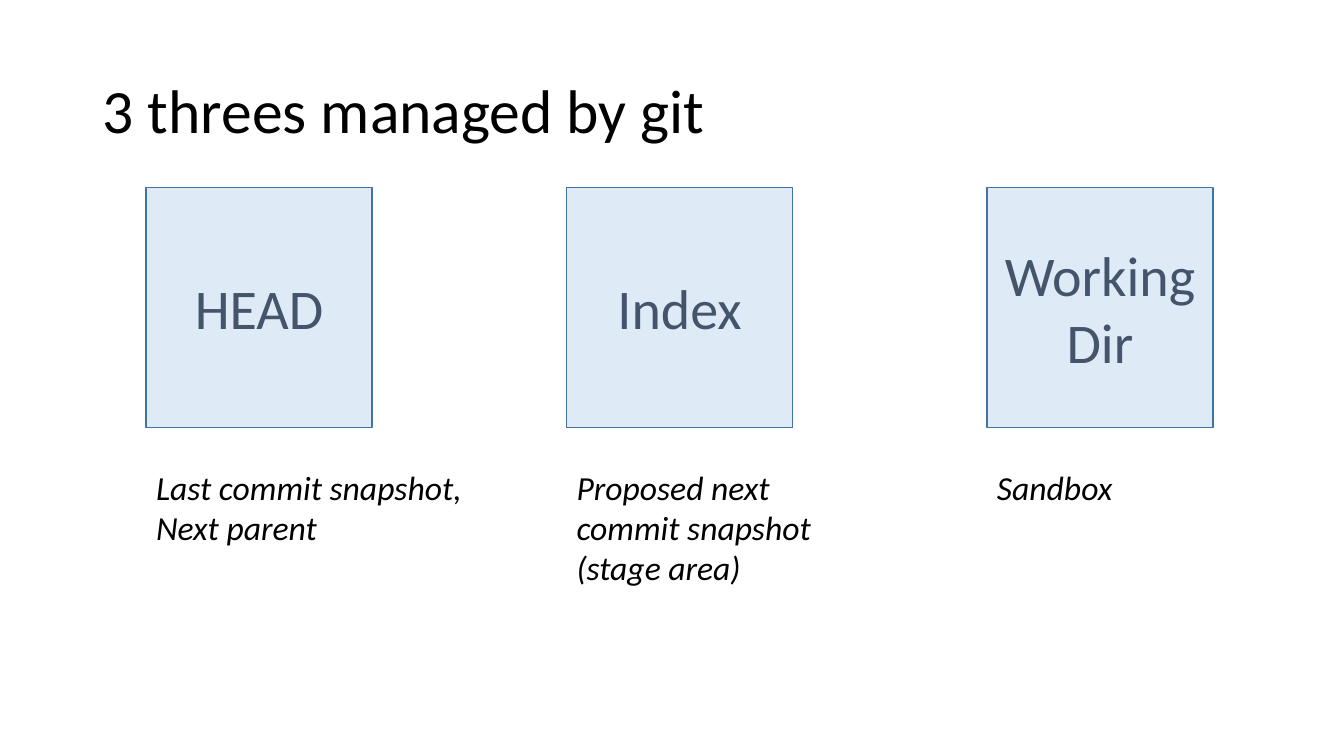
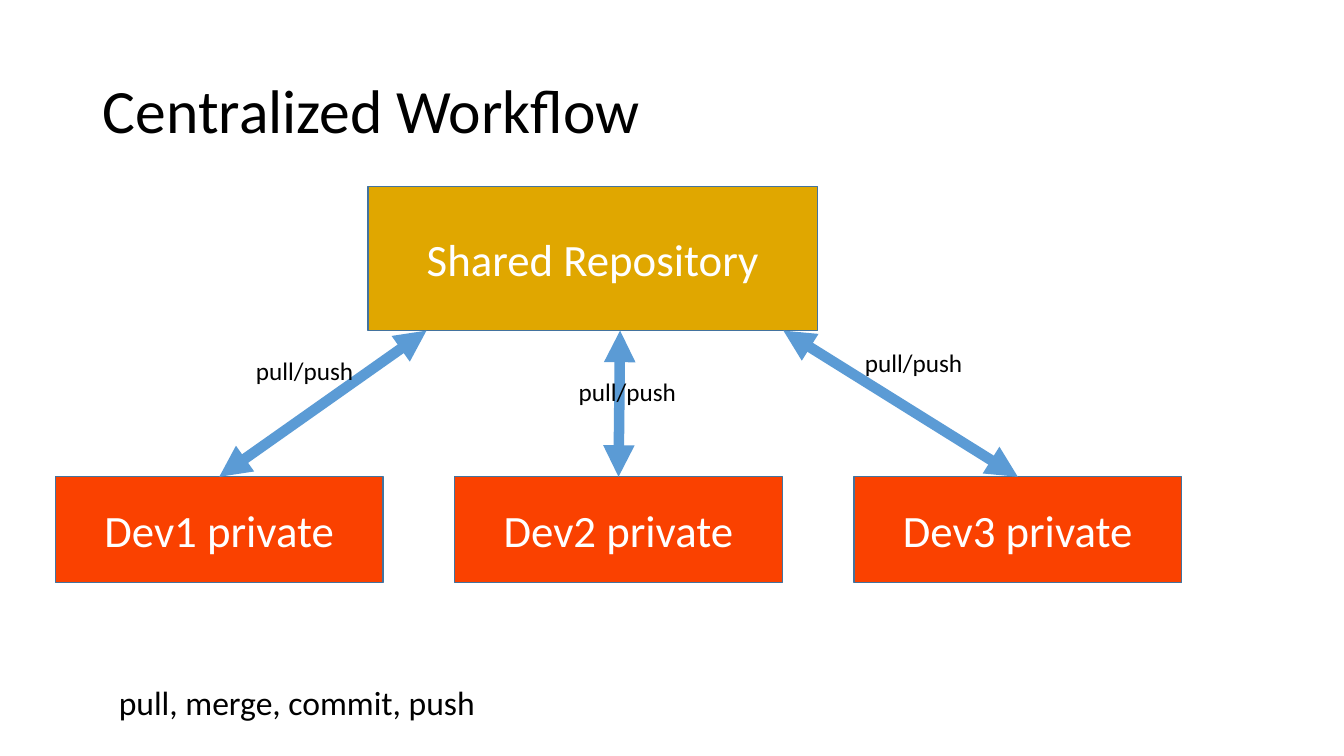
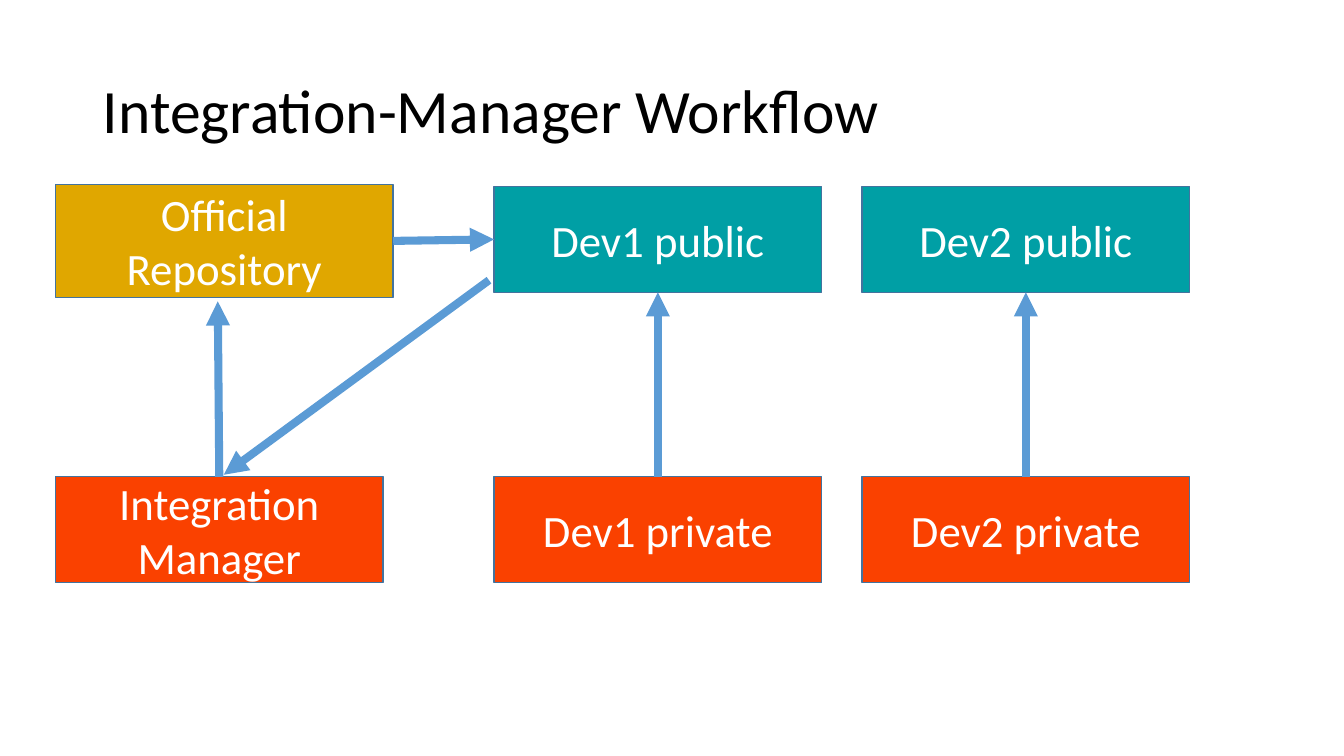
"""Build three slides on the trees and team workflows of git."""
from dataclasses import dataclass
from typing import NamedTuple

import lxml.etree
import pptx
import pptx.dml.color
import pptx.enum.shapes
import pptx.enum.text
import pptx.oxml.ns
import pptx.presentation
import pptx.shapes.autoshape
import pptx.slide
import pptx.text.text
import pptx.util

Inches = pptx.util.Inches
Align = pptx.enum.text.PP_ALIGN
Anchor = pptx.enum.text.MSO_ANCHOR
AutoSize = pptx.enum.text.MSO_AUTO_SIZE

FONT = "Calibri"
BLACK, WHITE, SLATE = "000000", "FFFFFF", "44546A"
PALE_BLUE, GOLD, ORANGE, TEAL = "DEEBF7", "E0A700", "FA4100", "009FA5"
OUTLINE, ARROW_BLUE = "43739E", "5B9BD5"
TOP, LEFT, BOTTOM, RIGHT = range(4)

TREE_LEFT, TREE_STEP = 1.45, 4.17
REPO_WIDTH, REPO_HEIGHT = 3.25, 1.05
REPO_LEFT, PUBLIC_TOP, PRIVATE_TOP = 0.55, 1.85, 4.73
DEV_STEP = 3.96
DEV_LEFTS = (4.9, 8.55)


@dataclass(frozen=True)
class Box:
    """A filled rectangle with centred text."""
    text: str
    left: float
    top: float
    fill: str
    width: float = REPO_WIDTH
    height: float = REPO_HEIGHT
    size: float = 32
    color: str = WHITE


@dataclass(frozen=True)
class Label:
    """A free text on the slide."""
    text: str
    left: float
    top: float
    width: float
    height: float
    size: float = 24
    italic: bool = False
    wrap: bool = True


class Point(NamedTuple):
    """A free arrow end in inches."""
    x: float
    y: float


class Joint(NamedTuple):
    """An arrow end glued to the middle of a box side."""
    box: pptx.shapes.autoshape.Shape
    side: int


@dataclass(frozen=True)
class Arrow:
    """A straight arrow between two ends."""
    start: Point | Joint
    end: Point | Joint
    width: float = 5.75
    two_way: bool = False


def rgb(color: str) -> pptx.dml.color.RGBColor:
    """Turn a hex string into a colour."""
    return pptx.dml.color.RGBColor.from_string(color)


def write(frame: pptx.text.text.TextFrame, text: str, size: float, color: str,
          align: Align = Align.LEFT, italic: bool = False) -> None:
    """Fill a text frame and format all its runs."""
    frame.text = text
    for paragraph in frame.paragraphs:
        paragraph.alignment = align
        for run in paragraph.runs:
            run.font.name = FONT
            run.font.size = pptx.util.Pt(size)
            run.font.italic = italic
            run.font.color.rgb = rgb(color)


def add_titled_slide(deck: pptx.presentation.Presentation, title: str) -> pptx.slide.Slide:
    """Add a slide with the shared title style."""
    slide = deck.slides.add_slide(deck.slide_layouts[5])
    heading = slide.shapes.title
    heading.left, heading.top = Inches(0.92), Inches(0.4)
    heading.width, heading.height = Inches(11.5), Inches(1.45)
    frame = heading.text_frame
    write(frame, title, 44, BLACK)
    frame.auto_size = AutoSize.NONE
    frame.vertical_anchor = Anchor.MIDDLE
    frame.paragraphs[0].line_spacing = 0.9
    return slide


def draw_box(slide: pptx.slide.Slide, box: Box) -> pptx.shapes.autoshape.Shape:
    """Draw one rectangle and return it."""
    rectangle = slide.shapes.add_shape(
        pptx.enum.shapes.MSO_SHAPE.RECTANGLE, Inches(box.left), Inches(box.top),
        Inches(box.width), Inches(box.height))
    rectangle.shadow.inherit = False
    rectangle.fill.solid()
    rectangle.fill.fore_color.rgb = rgb(box.fill)
    rectangle.line.color.rgb = rgb(OUTLINE)
    rectangle.line.width = pptx.util.Pt(1)
    rectangle.text_frame.word_wrap = True
    rectangle.text_frame.vertical_anchor = Anchor.MIDDLE
    write(rectangle.text_frame, box.text, box.size, box.color, Align.CENTER)
    return rectangle


def draw_label(slide: pptx.slide.Slide, label: Label) -> None:
    """Draw one free text."""
    frame = slide.shapes.add_textbox(
        Inches(label.left), Inches(label.top), Inches(label.width), Inches(label.height)).text_frame
    frame.word_wrap = label.wrap
    frame.auto_size = AutoSize.SHAPE_TO_FIT_TEXT
    write(frame, label.text, label.size, BLACK, italic=label.italic)


def draw_arrow(slide: pptx.slide.Slide, arrow: Arrow) -> None:
    """Draw one arrow, glued wherever an end is a joint."""
    ends = [Point(0, 0) if isinstance(end, Joint) else end for end in (arrow.start, arrow.end)]
    connector = slide.shapes.add_connector(
        pptx.enum.shapes.MSO_CONNECTOR.STRAIGHT, *(Inches(value) for end in ends for value in end))
    if isinstance(arrow.start, Joint):
        connector.begin_connect(*arrow.start)
    if isinstance(arrow.end, Joint):
        connector.end_connect(*arrow.end)
    connector.line.color.rgb = rgb(ARROW_BLUE)
    connector.line.width = pptx.util.Pt(arrow.width)
    qn = pptx.oxml.ns.qn
    properties = connector.element.spPr
    line = properties.find(qn("a:ln"))
    for tag in ("a:headEnd", "a:tailEnd") if arrow.two_way else ("a:tailEnd",):
        lxml.etree.SubElement(line, qn(tag), type="triangle")
    lxml.etree.SubElement(properties, qn("a:effectLst"))


def build_trees(deck: pptx.presentation.Presentation) -> None:
    """Show the three trees with their captions."""
    slide = add_titled_slide(deck, "3 threes managed by git")
    trees = (
        ("HEAD", "Last commit snapshot,\nNext parent", 3.24, 0.91),
        ("Index", "Proposed next commit snapshot (stage area)", 2.76, 1.31),
        ("Working\nDir", "Sandbox", 2.76, 0.5),
    )
    for column, (tree, caption, width, height) in enumerate(trees):
        left = TREE_LEFT + column * TREE_STEP
        draw_box(slide, Box(tree, left, 1.86, PALE_BLUE, 2.24, 2.38, 40, SLATE))
        draw_label(slide, Label(caption, left, 4.58, width, height, italic=True))


def build_centralized(deck: pptx.presentation.Presentation) -> None:
    """Show developers around one shared repository."""
    slide = add_titled_slide(deck, "Centralized Workflow")
    draw_box(slide, Box("Shared Repository", 3.65, PUBLIC_TOP, GOLD, 4.46, 1.43))
    developers = [
        draw_box(slide, Box(f"Dev{number + 1} private", REPO_LEFT + number * DEV_STEP,
                            PRIVATE_TOP, ORANGE))
        for number in range(3)
    ]
    for developer, shared_x in zip(developers, (4.23, 6.15, 7.77)):
        draw_arrow(slide, Arrow(Joint(developer, TOP), Point(shared_x, 3.28), 7.5, True))
    for left, top in ((2.44, 3.48), (5.64, 3.68), (8.48, 3.4)):
        draw_label(slide, Label("pull/push", left, top, 1.21, 0.4, 18))
    draw_label(slide, Label("pull, merge, commit, push", 1.08, 6.72, 3.77, 0.5, wrap=False))


def build_integration(deck: pptx.presentation.Presentation) -> None:
    """Show the workflow led by an integration manager."""
    slide = add_titled_slide(deck, "Integration-Manager Workflow")
    official = draw_box(slide, Box("Official Repository", REPO_LEFT, 1.83, GOLD, 3.35, 1.12))
    manager = draw_box(slide, Box("Integration Manager", REPO_LEFT, PRIVATE_TOP, ORANGE))
    private, public = (
        [draw_box(slide, Box(f"Dev{number} {kind}", left, top, fill))
         for number, left in enumerate(DEV_LEFTS, 1)]
        for kind, top, fill in (("private", PRIVATE_TOP, ORANGE), ("public", PUBLIC_TOP, TEAL))
    )
    arrows = [Arrow(Joint(source, TOP), Joint(target, BOTTOM))
              for source, target in zip(private, public)]
    arrows += [
        Arrow(Point(4.85, 2.78), Point(2.22, 4.71)),
        Arrow(Joint(manager, TOP), Point(2.16, 2.99)),
        Arrow(Joint(official, RIGHT), Joint(public[0], LEFT)),
    ]
    for arrow in arrows:
        draw_arrow(slide, arrow)


def main() -> None:
    """Build and save the deck."""
    deck = pptx.Presentation()
    deck.slide_width, deck.slide_height = Inches(13.33), Inches(7.5)
    build_trees(deck)
    build_centralized(deck)
    build_integration(deck)
    deck.save("out.pptx")


if __name__ == "__main__":
    main()
